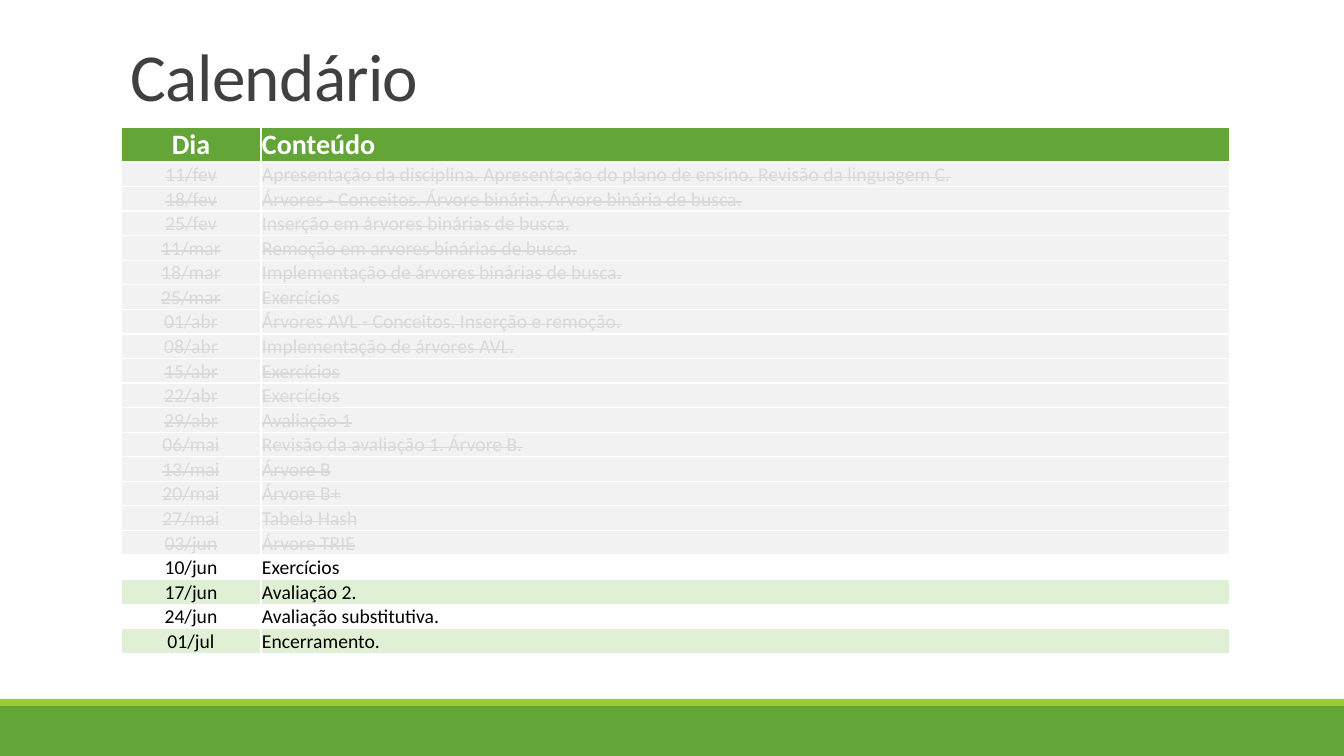
from pptx import Presentation
from pptx.dml.color import RGBColor
from pptx.enum.shapes import MSO_SHAPE
from pptx.enum.text import MSO_ANCHOR, PP_ALIGN
from pptx.oxml.ns import qn
from pptx.util import Emu, Pt
from lxml import etree

RECTANGLE = MSO_SHAPE.RECTANGLE
MIDDLE, BOTTOM = MSO_ANCHOR.MIDDLE, MSO_ANCHOR.BOTTOM
LEFT, CENTER = PP_ALIGN.LEFT, PP_ALIGN.CENTER

SLIDE_WIDTH, SLIDE_HEIGHT = 1344, 756
EMU_PER_PX = 12192000 / SLIDE_WIDTH
FONT = "Calibri"
GREEN, LIME, PALE_GREEN = "63A537", "99CB38", "DFF0D4"
WHITE, BLACK, DARK_GRAY = "FFFFFF", "000000", "404040"
DONE_FILL, DONE_TEXT = "F2F2F2", "D9D9D9"

COLUMN_WIDTHS = (140, 969)
HEADER_HEIGHT, ROW_HEIGHT = 35, 24
HEADINGS = ("Dia", "Conteúdo")
DONE_CLASSES = [
    ("11/fev", "Apresentação da disciplina. Apresentação do plano de ensino. Revisão da linguagem C."),
    ("18/fev", "Árvores - Conceitos. Árvore binária. Árvore binária de busca."),
    ("25/fev", "Inserção em árvores binárias de busca."),
    ("11/mar", "Remoção em arvores binárias de busca."),
    ("18/mar", "Implementação de árvores binárias de busca."),
    ("25/mar", "Exercícios"),
    ("01/abr", "Árvores AVL - Conceitos. Inserção e remoção."),
    ("08/abr", "Implementação de árvores AVL."),
    ("15/abr", "Exercícios"),
    ("22/abr", "Exercícios"),
    ("29/abr", "Avaliação 1"),
    ("06/mai", "Revisão da avaliação 1. Árvore B."),
    ("13/mai", "Árvore B"),
    ("20/mai", "Árvore B+"),
    ("27/mai", "Tabela Hash"),
    ("03/jun", "Árvore TRIE"),
]
COMING_CLASSES = [
    ("10/jun", "Exercícios"),
    ("17/jun", "Avaliação 2."),
    ("24/jun", "Avaliação substitutiva."),
    ("01/jul", "Encerramento."),
]


def px(length):
    return Emu(round(length * EMU_PER_PX))


def color(hex_string):
    return RGBColor.from_string(hex_string)


def add_run(paragraph, text, size, text_color, bold=False):
    run = paragraph.add_run()
    run.text = text
    run.font.name = FONT
    run.font.size = Pt(size)
    run.font.bold = bold
    run.font.color.rgb = color(text_color)
    return run


def add_band(slide, top, height, fill):
    """Add a full-width footer band."""
    shape = slide.shapes.add_shape(RECTANGLE, 0, px(top), px(SLIDE_WIDTH), px(height))
    shape.shadow.inherit = False
    shape.fill.solid()
    shape.fill.fore_color.rgb = color(fill)
    shape.line.fill.background()


def add_title(slide, text):
    frame = slide.shapes.add_textbox(px(121), px(31), px(1109), px(89)).text_frame
    frame.word_wrap = True
    frame.vertical_anchor = BOTTOM
    paragraph = frame.paragraphs[0]
    paragraph.line_spacing = 0.85
    run = add_run(paragraph, text, 48, DARK_GRAY)
    run.font._element.set("spc", "-50")


def set_borders(cell):
    properties = cell._tc.get_or_add_tcPr()
    for position, side in enumerate(("lnL", "lnR", "lnT", "lnB")):
        line = etree.Element(qn(f"a:{side}"), w=str(Pt(1)))
        fill = etree.SubElement(line, qn("a:solidFill"))
        etree.SubElement(fill, qn("a:srgbClr"), val=WHITE)
        properties.insert(position, line)


def fill_row(row, texts, fill, text_color, size=14, date_anchor=BOTTOM, bold=False, strike=False):
    anchors, alignments = (date_anchor, MIDDLE), (CENTER, LEFT)
    for cell, text, anchor, alignment in zip(row.cells, texts, anchors, alignments):
        cell.fill.solid()
        cell.fill.fore_color.rgb = color(fill)
        cell.margin_left = cell.margin_right = cell.margin_top = px(1)
        cell.margin_bottom = 0
        cell.vertical_anchor = anchor
        set_borders(cell)
        paragraph = cell.text_frame.paragraphs[0]
        paragraph.alignment = alignment
        run = add_run(paragraph, text, size, text_color, bold)
        if strike:
            run.font._element.set("strike", "sngStrike")


def add_calendar(slide):
    row_count = 1 + len(DONE_CLASSES) + len(COMING_CLASSES)
    height = HEADER_HEIGHT + ROW_HEIGHT * (row_count - 1)
    table = slide.shapes.add_table(
        row_count, len(COLUMN_WIDTHS), px(121), px(127), px(sum(COLUMN_WIDTHS)), px(height)
    ).table
    for column, width in zip(table.columns, COLUMN_WIDTHS):
        column.width = px(width)
    for index, row in enumerate(table.rows):
        row.height = px(ROW_HEIGHT if index else HEADER_HEIGHT)

    rows = iter(table.rows)
    fill_row(next(rows), HEADINGS, GREEN, WHITE, size=20, date_anchor=MIDDLE, bold=True)
    for texts in DONE_CLASSES:
        fill_row(next(rows), texts, DONE_FILL, DONE_TEXT, strike=True)
    for index, texts in enumerate(COMING_CLASSES):
        fill_row(next(rows), texts, PALE_GREEN if index % 2 else WHITE, BLACK)


def main():
    presentation = Presentation()
    presentation.slide_width = px(SLIDE_WIDTH)
    presentation.slide_height = px(SLIDE_HEIGHT)
    slide = presentation.slides.add_slide(presentation.slide_layouts[6])
    add_band(slide, 706, 50, GREEN)
    add_band(slide, 699, 7, LIME)
    add_title(slide, "Calendário")
    add_calendar(slide)
    presentation.save("out.pptx")


if __name__ == "__main__":
    main()
